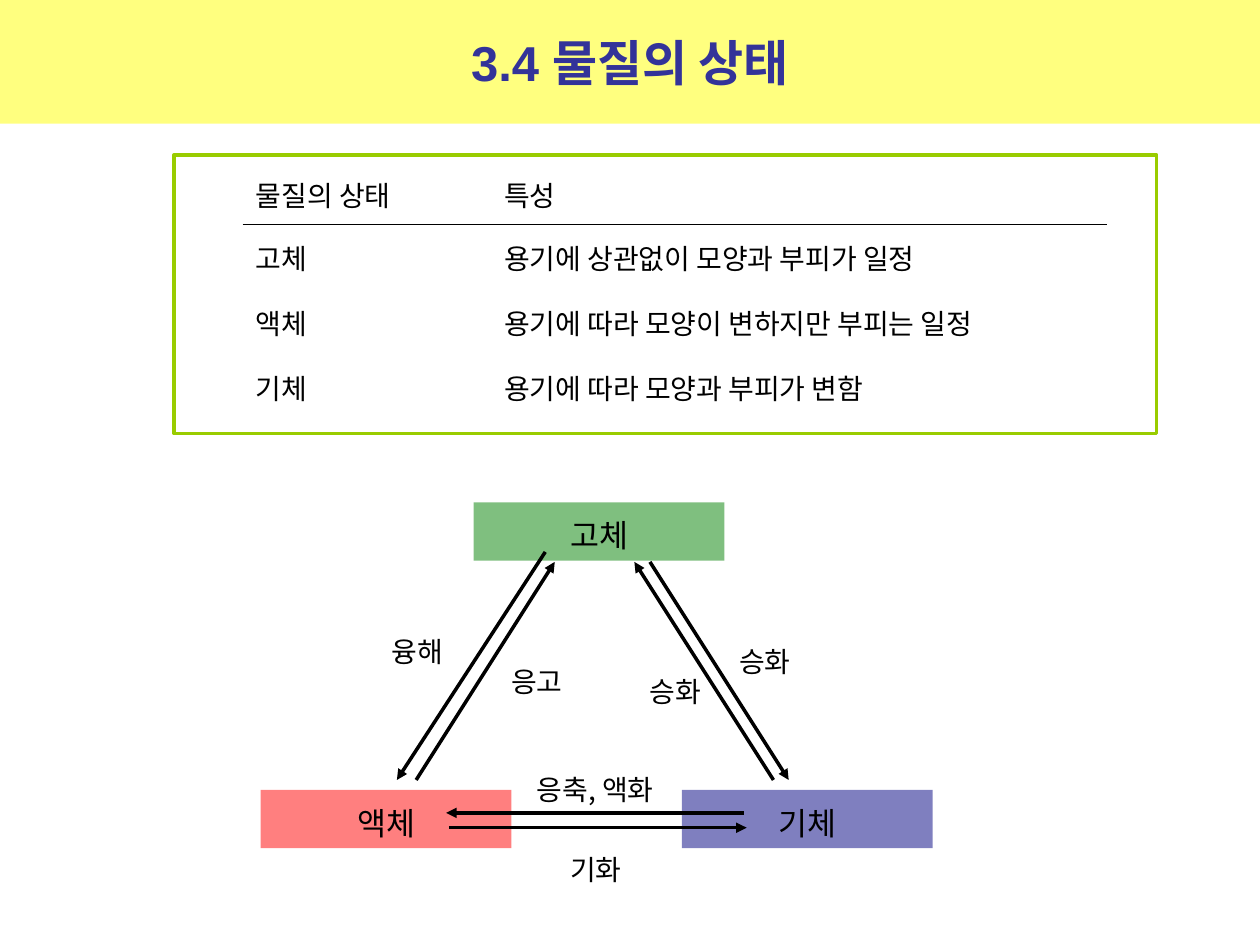
from lxml.etree import SubElement
from pptx import Presentation
from pptx.dml.color import RGBColor
from pptx.enum.shapes import MSO_CONNECTOR, MSO_SHAPE
from pptx.enum.text import MSO_ANCHOR, PP_ALIGN
from pptx.oxml.ns import qn
from pptx.util import Pt

COLORS = {"banner": "FFFF00", "title": "333399", "text": "000000", "frame": "99CC00",
          "solid": "008000", "liquid": "FF0000", "gas": "000080"}
LATIN, KOREAN = "Arial", "Noto Sans CJK KR"
TITLE = "3.4 물질의 상태"
ROWS = [
    ("물질의 상태", "특성"),
    ("고체", "용기에 상관없이 모양과 부피가 일정"),
    ("액체", "용기에 따라 모양이 변하지만 부피는 일정"),
    ("기체", "용기에 따라 모양과 부피가 변함"),
]
COL_WIDTHS = (142, 351)
ROW_HEIGHTS = (33.8, 37.4, 37.4, 37.4)
STATES = [
    ("고체", "solid", 270.7, 287),
    ("액체", "liquid", 149, 451.4),
    ("기체", "gas", 389.7, 451.4),
]
STATE_SIZE = (143.3, 33.3)
ARROWS = [
    ((311.6, 315.4), (226.8, 445.7)),
    ((237.8, 445.7), (317, 321.1)),
    ((256.5, 473), (426.7, 473)),
    ((425, 464.5), (254.9, 464.5)),
    ((442, 445.7), (362.5, 321.1)),
    ((371.4, 321.1), (450.7, 445.7)),
]
LABELS = [
    ("융해", 238.4, 355),
    ("응고", 306.7, 372.2),
    ("기화", 340.5, 479.5),
    ("응축, 액화", 340.2, 434.2),
    ("승화", 437, 360.7),
    ("승화", 386, 378),
]
LABEL_SIZE = (140, 30.2)


def rgb(name):
    return RGBColor.from_string(COLORS[name])


def tint(shape, name):
    shape.fill.solid()
    shape.fill.fore_color.rgb = rgb(name)
    color = shape.fill._xPr.find(qn("a:solidFill"))[0]
    SubElement(color, qn("a:alpha"), val="50000")


def write(tf, text, size, latin, color="text", bold=False, align=PP_ALIGN.CENTER, spacing=None):
    tf.text = text
    p = tf.paragraphs[0]
    p.alignment = align
    p.line_spacing = spacing
    for r in p.runs:
        r.font.size = Pt(size)
        r.font.bold = bold
        r.font.name = latin
        r.font.color.rgb = rgb(color)
        SubElement(r.font._element, qn("a:ea"), typeface=KOREAN)


def add_rect(s, x, y, w, h):
    sp = s.shapes.add_shape(MSO_SHAPE.RECTANGLE, Pt(x), Pt(y), Pt(w), Pt(h))
    sp.shadow.inherit = False
    return sp


def add_title(s):
    sp = s.shapes.title
    sp.left, sp.top, sp.width, sp.height = Pt(0), Pt(0), Pt(720), Pt(70.6)
    tint(sp, "banner")
    sp.text_frame.vertical_anchor = MSO_ANCHOR.MIDDLE
    write(sp.text_frame, TITLE, 28, LATIN, "title", True)


def add_state(s, text, color, x, y):
    sp = add_rect(s, x, y, *STATE_SIZE)
    tint(sp, color)
    sp.line.fill.background()
    sp.text_frame.vertical_anchor = MSO_ANCHOR.TOP
    write(sp.text_frame, text, 18, KOREAN, spacing=1.2)


def add_arrow(s, start, end):
    c = s.shapes.add_connector(MSO_CONNECTOR.STRAIGHT, *map(Pt, start + end))
    c.line.width = Pt(2)
    c.line.color.rgb = rgb("text")
    SubElement(c.line._get_or_add_ln(), qn("a:tailEnd"), type="triangle")
    SubElement(c._element.spPr, qn("a:effectLst"))


def add_label(s, text, center, y):
    w, h = LABEL_SIZE
    tf = s.shapes.add_textbox(Pt(center - w / 2), Pt(y), Pt(w), Pt(h)).text_frame
    tf.word_wrap = True
    write(tf, text, 16, KOREAN, spacing=1.2)


def add_border(cell, side):
    ln = SubElement(cell._tc.get_or_add_tcPr(), qn(f"a:{side}"), w=str(Pt(0.45)))
    fill = SubElement(ln, qn("a:solidFill"))
    SubElement(fill, qn("a:srgbClr"), val=COLORS["text"])


def add_properties(s):
    table = s.shapes.add_table(len(ROWS), len(COL_WIDTHS), Pt(139), Pt(94.3),
                               Pt(sum(COL_WIDTHS)), Pt(sum(ROW_HEIGHTS))).table
    table.first_row = table.horz_banding = False
    for column, width in zip(table.columns, COL_WIDTHS):
        column.width = Pt(width)
    for i, (row, height, texts) in enumerate(zip(table.rows, ROW_HEIGHTS, ROWS)):
        row.height = Pt(height)
        for cell, text in zip(row.cells, texts):
            cell.vertical_anchor = MSO_ANCHOR.MIDDLE
            write(cell.text_frame, text, 16, LATIN, align=PP_ALIGN.LEFT)
            if i < 2:
                add_border(cell, "lnT" if i else "lnB")
            cell.fill.background()


def add_frame(s):
    sp = add_rect(s, 99.4, 88.6, 561.6, 159.1)
    sp.fill.background()
    sp.line.color.rgb = rgb("frame")
    sp.line.width = Pt(2)


def main():
    """Build the slide on the states of matter."""
    prs = Presentation()
    prs.slide_width, prs.slide_height = Pt(720), Pt(540)
    s = prs.slides.add_slide(prs.slide_layouts[5])
    add_title(s)
    for state in STATES:
        add_state(s, *state)
    for arrow in ARROWS:
        add_arrow(s, *arrow)
    for label in LABELS:
        add_label(s, *label)
    add_properties(s)
    add_frame(s)
    prs.save("out.pptx")


if __name__ == "__main__":
    main()
